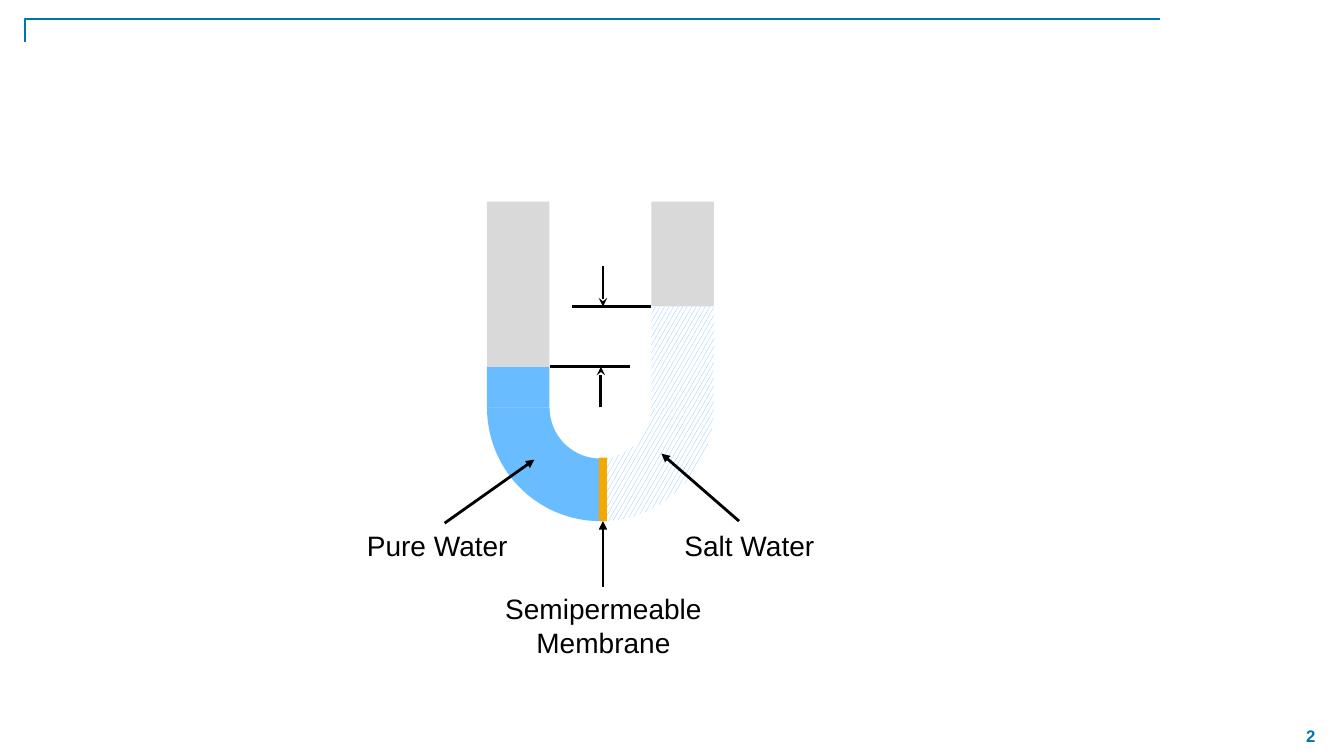
from lxml.etree import SubElement
from pptx import Presentation
from pptx.dml.color import RGBColor
from pptx.enum.dml import MSO_PATTERN
from pptx.enum.shapes import MSO_CONNECTOR, MSO_SHAPE
from pptx.enum.text import MSO_ANCHOR, MSO_AUTO_SIZE, PP_ALIGN
from pptx.oxml.ns import qn
from pptx.util import Inches, Pt

COLORS = {"water": "69BCFF", "glass": "D9D9D9", "film": "F2A900",
          "ink": "000000", "brand": "0076A8", "white": "FFFFFF"}
WIDE, HIGH = 13.33, 7.5


def tint(name):
    """Return the colour with this name."""
    return RGBColor.from_string(COLORS[name])


def text(slide, words, box, size=20, color="ink", bold=False,
         align=PP_ALIGN.LEFT, wrap=False, anchor=MSO_ANCHOR.TOP,
         fit=MSO_AUTO_SIZE.SHAPE_TO_FIT_TEXT):
    """Write words in a box."""
    frame = slide.shapes.add_textbox(*map(Inches, box)).text_frame
    frame.word_wrap = wrap
    frame.auto_size = fit
    frame.vertical_anchor = anchor
    para = frame.paragraphs[0]
    para.text = words
    para.alignment = align
    font = para.font
    font.name, font.size, font.bold = "Arial", Pt(size), bold
    font.color.rgb = tint(color)


def part(slide, kind, box, color, hatch=False):
    """Draw a plain or hatched shape without an outline."""
    shape = slide.shapes.add_shape(kind, *map(Inches, box))
    shape.shadow.inherit = False
    shape.line.fill.background()
    if hatch:
        shape.fill.patterned()
        shape.fill.pattern = MSO_PATTERN.LARGE_CONFETTI
        shape.fill.fore_color.rgb = tint(color)
        shape.fill.back_color.rgb = tint("white")
    else:
        shape.fill.solid()
        shape.fill.fore_color.rgb = tint(color)
    return shape


def line(slide, start, end, tip=None, color="ink", width=2,
         kind=MSO_CONNECTOR.STRAIGHT):
    """Draw a line, with an arrowhead at its end if a tip is named."""
    link = slide.shapes.add_connector(kind, *map(Inches, (*start, *end)))
    link.line.color.rgb = tint(color)
    link.line.width = Pt(width)
    if tip:
        SubElement(link.line._get_or_add_ln(), qn("a:tailEnd"), type=tip)
    SubElement(link._element.spPr, qn("a:effectLst"))
    return link


def frame(slide, wide, high):
    """Draw the corner rule and the page number."""
    rule = line(slide, (wide - 1.82, 0.19), (0.25, 0.42), color="brand",
                width=1, kind=MSO_CONNECTOR.ELBOW)
    shape = rule._element.spPr.find(qn("a:prstGeom"))
    guides = shape.find(qn("a:avLst"))
    if guides is None:
        guides = SubElement(shape, qn("a:avLst"))
    SubElement(guides, qn("a:gd"), name="adj1", fmla="val 100000")
    text(slide, "2", (wide - 0.66, high - 0.41, 0.66, 0.41), size=12,
         color="brand", bold=True, align=PP_ALIGN.CENTER, wrap=True,
         anchor=MSO_ANCHOR.MIDDLE, fit=MSO_AUTO_SIZE.NONE)


def tube(slide, left, top, wide, high):
    """Draw the U-tube with its two liquids and the membrane."""
    bore = 0.62
    bend = top + high - wide / 2
    arcs = [((108, 162.12, 0.276), True), ((161.82, 0.15, 0.276), False)]
    for turns, hatch in arcs:
        arc = part(slide, MSO_SHAPE.BLOCK_ARC,
                   (left, top + high - wide, wide, wide), "water", hatch)
        arc.rotation = 180
        for spot, turn in enumerate(turns):
            arc.adjustments[spot] = turn
    arms = [(left, 1.64, False), (left + wide - bore, 1.04, True)]
    for edge, drop, hatch in arms:
        level = top + drop
        part(slide, MSO_SHAPE.RECTANGLE,
             (edge, level, bore, bend - level), "water", hatch)
        part(slide, MSO_SHAPE.RECTANGLE, (edge, top, bore, drop), "glass")
    part(slide, MSO_SHAPE.RECTANGLE,
         (left + 1.11, top + high - 0.63, 0.08, 0.63), "film")


def gap(slide, left, top, wide, high):
    """Mark the two liquid levels and the height between them."""
    low = top + high
    line(slide, (left + wide, top), (left + wide - 0.79, top))
    line(slide, (left + 0.8, low), (left, low))
    line(slide, (left + 0.51, low + 0.4), (left + 0.51, low), "stealth")
    line(slide, (left + 0.53, top - 0.4), (left + 0.53, top), "stealth")


def labels(slide, left, top, wide, high):
    """Name the liquids and the membrane, each with an arrow."""
    line(slide, (left + 0.87, top), (left + 1.76, top - 0.63), "triangle")
    text(slide, "Pure Water", (left, top, 1.61, 0.44))
    line(slide, (left + 3.79, top - 0.02), (left + 3.02, top - 0.69),
         "triangle")
    text(slide, "Salt Water", (left + wide - 1.5, top, 1.5, 0.44))
    low = top + high - 0.77
    text(slide, "Semipermeable Membrane", (left + 1.36, low, 2.17, 0.77),
         align=PP_ALIGN.CENTER, wrap=True)
    line(slide, (left + 2.44, low), (left + 2.44, top - 0.02), "triangle")


def main():
    """Build and save the slide."""
    deck = Presentation()
    deck.slide_width, deck.slide_height = Inches(WIDE), Inches(HIGH)
    slide = deck.slides.add_slide(deck.slide_layouts[6])
    frame(slide, WIDE, HIGH)
    tube(slide, 4.83, 2, 2.25, 3.17)
    gap(slide, 5.45, 3.04, 1.01, 0.6)
    labels(slide, 3.54, 5.19, 4.65, 1.4)
    deck.save("out.pptx")


if __name__ == "__main__":
    main()
